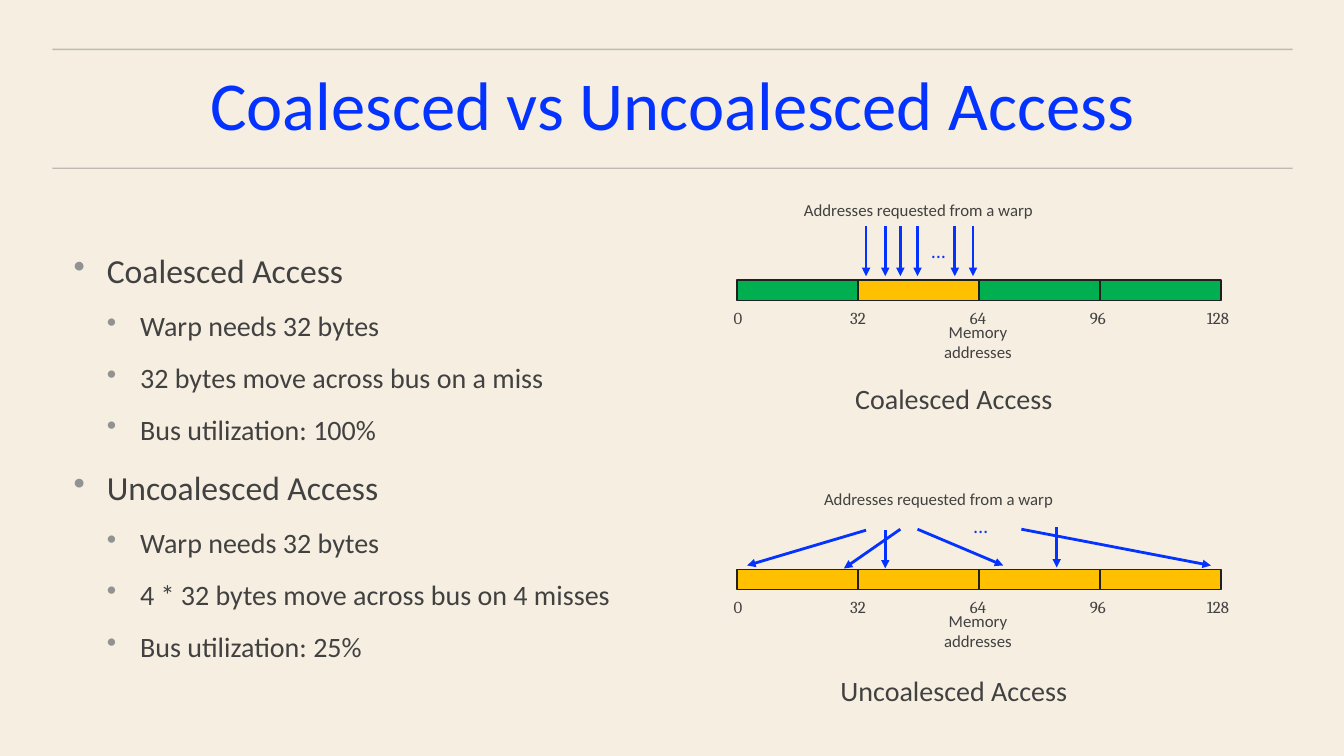
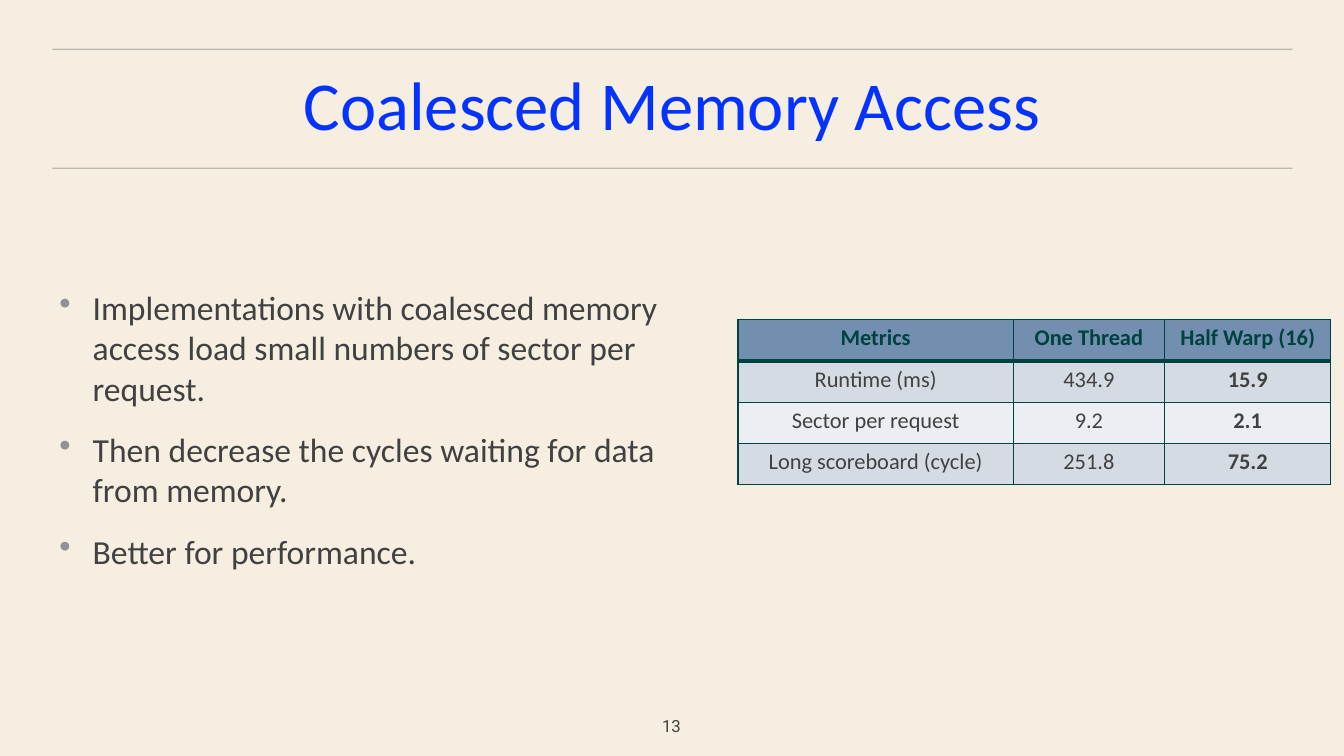
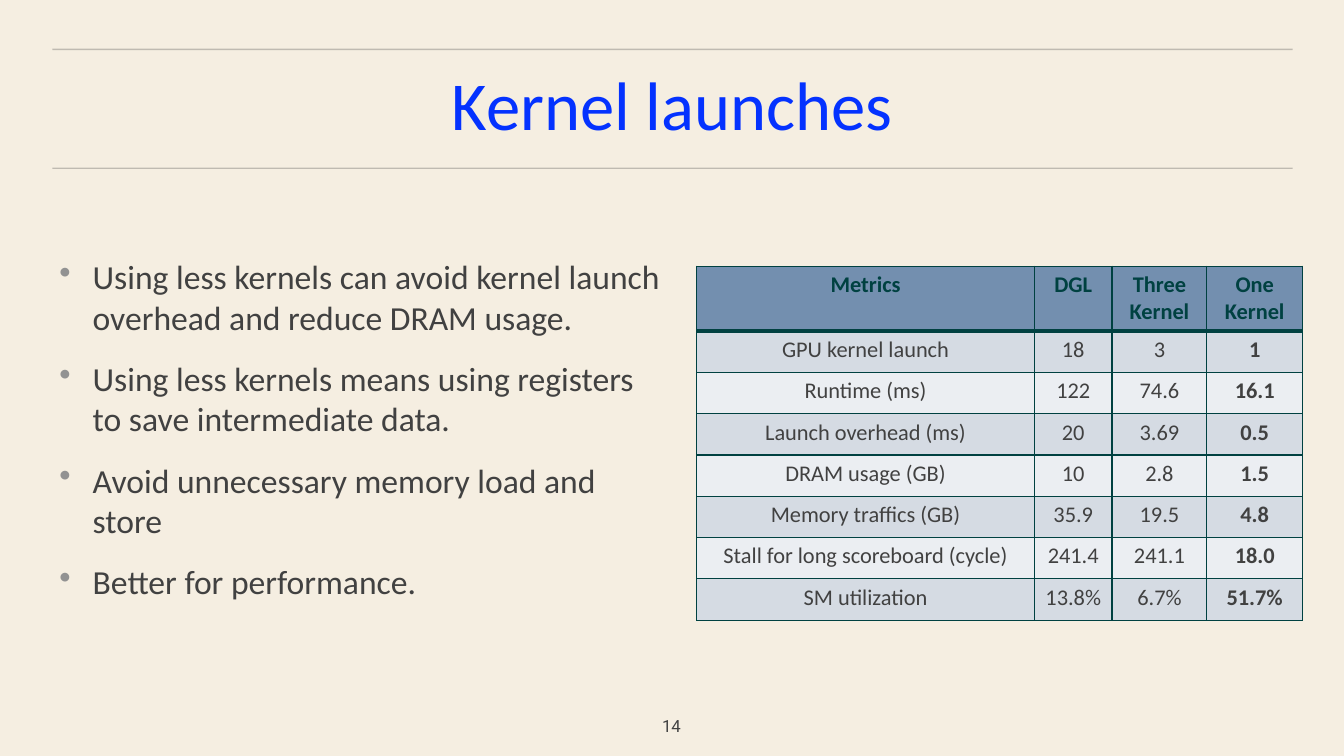
from lxml import etree
from pptx import Presentation
from pptx.dml.color import RGBColor
from pptx.enum.shapes import MSO_CONNECTOR, MSO_SHAPE
from pptx.enum.text import MSO_ANCHOR, MSO_AUTO_SIZE, PP_ALIGN
from pptx.oxml.ns import qn
from pptx.util import Inches, Pt

COLORS = {
    "background": "F5EEE1", "rule": "444444", "title": "0432FF",
    "text": "414141", "bullet": "929292", "arrow": "0432FF",
    "used": "FFC000", "idle": "00B050", "outline": "202020",
    "grid": "004141", "header": "738FAF", "odd": "D5DBE3", "even": "EBEEF2",
}
FONT = "Calibri"
NUMBER_FONT = "Cambria"
TITLE_ONLY = 5
BULLET_STYLES = [(24, 15), (20, 13)]  # size and space before, per level
INDENT = 0.33


def rgb(name):
    return RGBColor.from_string(COLORS[name])


def sub(parent, tag, **attrs):
    return etree.SubElement(parent, qn(tag), attrs)


def style(p, size, color="text", font=FONT, align=PP_ALIGN.CENTER, bold=False):
    p.alignment = align
    p.font.size, p.font.name, p.font.bold = Pt(size), font, bold
    p.font.color.rgb = rgb(color)


def set_frame(tf, wrap=True):
    tf.word_wrap = wrap
    tf.auto_size = MSO_AUTO_SIZE.NONE
    tf.vertical_anchor = MSO_ANCHOR.MIDDLE
    tf.margin_left = tf.margin_right = Inches(0.06)
    tf.margin_top = tf.margin_bottom = Inches(0.06)


def add_line(slide, start, end, color, width):
    line = slide.shapes.add_connector(
        MSO_CONNECTOR.STRAIGHT, *(Inches(v) for v in (*start, *end)))
    line.line.color.rgb = rgb(color)
    line.line.width = Pt(width)
    sub(line._element.spPr, "a:effectLst")
    return line


def add_arrow(slide, start, end):
    arrow = add_line(slide, start, end, "arrow", 2)
    sub(arrow.line._get_or_add_ln(), "a:tailEnd", type="triangle")


def add_label(slide, cx, cy, width, text, size=12, wrap=False, **font):
    """Text box centred on a point."""
    height = 0.31
    box = slide.shapes.add_textbox(Inches(cx - width / 2), Inches(cy - height / 2),
                                   Inches(width), Inches(height))
    set_frame(box.text_frame, wrap)
    p = box.text_frame.paragraphs[0]
    p.text = text
    style(p, size, **font)


def new_slide(prs, title, number=None):
    slide = prs.slides.add_slide(prs.slide_layouts[TITLE_ONLY])
    # Rules above and below the title
    for y in (1.67, 0.49):
        rule = add_line(slide, (0.52, y), (12.82, y), "rule", 1)
        sub(rule._element.find(".//" + qn("a:srgbClr")), "a:alpha", val="30000")
    # Title
    sp = slide.shapes.title
    sp.left, sp.top = Inches(0.52), Inches(0.62)
    sp.width, sp.height = Inches(12.29), Inches(0.91)
    set_frame(sp.text_frame)
    p = sp.text_frame.paragraphs[0]
    p.text = title
    style(p, 49, "title")
    p.line_spacing, p.space_before = 0.9, Pt(11.5)
    # Slide number
    if number:
        add_label(slide, 6.66, 7.2, 0.48, str(number), font="Roboto")
    return slide


def add_bullets(slide, items, left=0.53, top=1.8, width=6.14, height=4.91):
    """Bulleted body; items are (level, text)."""
    box = slide.shapes.add_textbox(Inches(left), Inches(top),
                                   Inches(width), Inches(height))
    tf = box.text_frame
    set_frame(tf)
    for i, (level, text) in enumerate(items):
        p = tf.add_paragraph() if i else tf.paragraphs[0]
        p.text, p.level = text, level
        size, before = BULLET_STYLES[level]
        style(p, size, align=PP_ALIGN.LEFT)
        p.space_before = Pt(before)
        pPr = p._p.get_or_add_pPr()
        pPr.set("marL", str(Inches(INDENT * (level + 1))))
        pPr.set("indent", str(-Inches(INDENT)))
        # Bullet marks go ahead of the default run properties
        marks = [etree.Element(qn("a:buClr")), etree.Element(qn("a:buChar"), char="•")]
        sub(marks[0], "a:srgbClr", val=COLORS["bullet"])
        for mark in marks:
            pPr.find(qn("a:defRPr")).addprevious(mark)


def add_memory_diagram(slide, top, fills, arrows, request_x, dots, caption, caption_y):
    """Memory bar of four segments with the requests that hit it."""
    add_label(slide, request_x, top - 0.7, 2.44, "Addresses requested from a warp")
    for i, fill in enumerate(fills):
        sp = slide.shapes.add_shape(MSO_SHAPE.RECTANGLE, Inches(7.31 + 1.2 * i),
                                    Inches(top), Inches(1.2), Inches(0.2))
        sp.shadow.inherit = False
        sp.fill.solid()
        sp.fill.fore_color.rgb = rgb(fill)
        sp.line.color.rgb = rgb("outline")
        sp.line.width = Pt(1)
    for i in range(len(fills) + 1):
        add_label(slide, 7.32 + 1.19 * i, top + 0.37, 0.36, str(32 * i),
                  font=NUMBER_FONT)
    add_label(slide, 9.7, top + 0.61, 1, "Memory addresses", wrap=True)
    for start, end in arrows:
        add_arrow(slide, start, end)
    add_label(slide, *dots, 0.32, "…", 15, color="arrow", font=NUMBER_FONT)
    add_label(slide, 9.46, caption_y, 2.42, caption, 20)


def set_borders(cell, top, bottom):
    tcPr = cell._tc.get_or_add_tcPr()
    for tag, width in (("a:lnL", 1), ("a:lnR", 1), ("a:lnT", top), ("a:lnB", bottom)):
        ln = sub(tcPr, tag, w=str(Pt(width)))
        sub(sub(ln, "a:solidFill"), "a:srgbClr", val=COLORS["grid"])


def add_metrics(slide, left, top, widths, rows, header_height=0.41):
    """Metrics table: header row, banded body, last column bold."""
    heights = [header_height] + [0.41] * (len(rows) - 1)
    table = slide.shapes.add_table(
        len(rows), len(widths), Inches(left), Inches(top),
        Inches(sum(widths)), Inches(sum(heights))).table
    for column, width in zip(table.columns, widths):
        column.width = Inches(width)
    for r, (row, height) in enumerate(zip(rows, heights)):
        table.rows[r].height = Inches(height)
        header = r == 0
        fill = "header" if header else ("even", "odd")[r % 2]
        for c, text in enumerate(row):
            cell = table.cell(r, c)
            set_borders(cell, 3 if r == 1 else 1, 3 if header else 1)
            cell.fill.solid()
            cell.fill.fore_color.rgb = rgb(fill)
            cell.text = text
            for p in cell.text_frame.paragraphs:
                style(p, 16, "grid" if header else "text",
                      bold=header or c == len(row) - 1)


def access_slide(prs):
    slide = new_slide(prs, "Coalesced vs Uncoalesced Access")
    add_bullets(slide, [
        (0, "Coalesced Access"),
        (1, "Warp needs 32 bytes"),
        (1, "32 bytes move across bus on a miss"),
        (1, "Bus utilization: 100%"),
        (0, "Uncoalesced Access"),
        (1, "Warp needs 32 bytes"),
        (1, "4 * 32 bytes move across bus on 4 misses"),
        (1, "Bus utilization: 25%"),
    ], 0.67, 1.88, 5.54, 5.3)
    straight = [((x, 2.24), (x, 2.74)) for x in (8.59, 8.78, 8.93, 9.1, 9.47, 9.65)]
    add_memory_diagram(slide, 2.78, ["idle", "used", "idle", "idle"], straight,
                       9.11, (9.3, 2.48), "Coalesced Access", 3.95)
    scattered = [
        ((8.59, 5.26), (7.41, 5.61)), ((8.93, 5.25), (8.37, 5.64)),
        ((8.78, 5.26), (8.78, 5.64)), ((9.1, 5.25), (9.95, 5.61)),
        ((10.13, 5.25), (12.01, 5.61)), ((10.48, 5.23), (10.48, 5.63)),
    ]
    add_memory_diagram(slide, 5.65, ["used"] * 4, scattered,
                       9.31, (9.72, 5.21), "Uncoalesced Access", 6.85)


def memory_slide(prs):
    slide = new_slide(prs, "Coalesced Memory Access", 13)
    add_bullets(slide, [
        (0, "Implementations with coalesced memory access load small numbers "
            "of sector per request."),
        (0, "Then decrease the cycles waiting for data from memory."),
        (0, "Better for performance."),
    ])
    add_metrics(slide, 7.32, 3.17, [2.73, 1.5, 1.65], [
        ["Metrics", "One Thread", "Half Warp (16)"],
        ["Runtime (ms)", "434.9", "15.9"],
        ["Sector per request", "9.2", "2.1"],
        ["Long scoreboard (cycle)", "251.8", "75.2"],
    ])


def kernel_slide(prs):
    slide = new_slide(prs, "Kernel launches", 14)
    add_bullets(slide, [
        (0, "Using less kernels can avoid kernel launch overhead and reduce DRAM usage."),
        (0, "Using less kernels means using registers to save intermediate data."),
        (0, "Avoid unnecessary memory load and store"),
        (0, "Better for performance."),
    ])
    add_metrics(slide, 6.91, 2.64, [3.35, 0.77, 0.94, 0.95], [
        ["Metrics", "DGL", "Three\nKernel", "One\nKernel"],
        ["GPU kernel launch", "18", "3", "1"],
        ["Runtime (ms)", "122", "74.6", "16.1"],
        ["Launch overhead (ms)", "20", "3.69", "0.5"],
        ["DRAM usage (GB)", "10", "2.8", "1.5"],
        ["Memory traffics (GB)", "35.9", "19.5", "4.8"],
        ["Stall for long scoreboard (cycle)", "241.4", "241.1", "18.0"],
        ["SM utilization", "13.8%", "6.7%", "51.7%"],
    ], header_height=0.64)


def main():
    prs = Presentation()
    prs.slide_width, prs.slide_height = Inches(13.33), Inches(7.5)
    fill = prs.slide_master.background.fill
    fill.solid()
    fill.fore_color.rgb = rgb("background")
    access_slide(prs)
    memory_slide(prs)
    kernel_slide(prs)
    prs.save("out.pptx")


if __name__ == "__main__":
    main()
